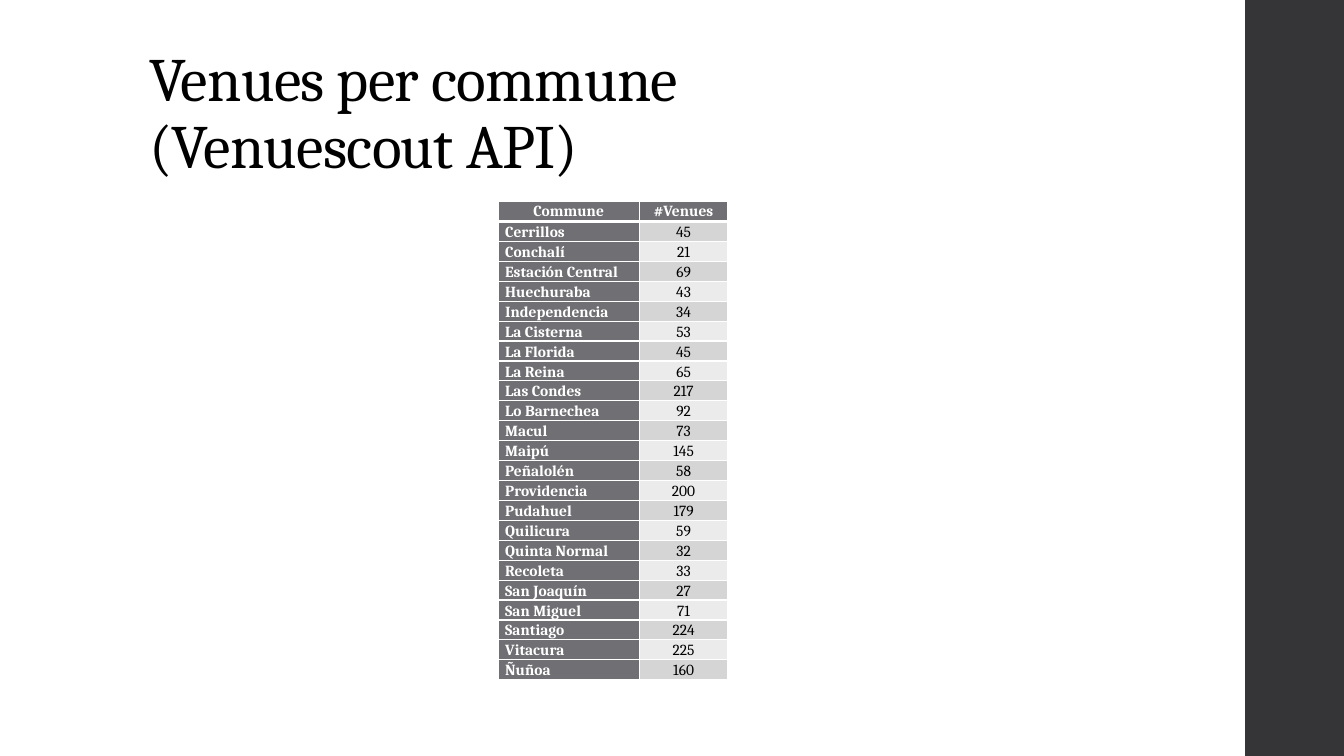
from lxml.etree import SubElement
from pptx import Presentation
from pptx.dml.color import RGBColor
from pptx.enum.shapes import MSO_SHAPE
from pptx.enum.text import MSO_ANCHOR as ANCHOR, PP_ALIGN as ALIGN
from pptx.oxml.ns import qn
from pptx.util import Inches, Pt

FONT = "Cambria"
WHITE, BLACK = "FFFFFF", "000000"
HEADING_GREY, SIDEBAR_GREY = "6F6F74", "353537"
BANDS = ("D5D5D6", "EBEBEB")
TITLE_LINES = ("Venues per commune", "(Venuescout API)")
HEADINGS = ("Commune", "#Venues")
VENUES = (
    ("Cerrillos", 45), ("Conchalí", 21), ("Estación Central", 69),
    ("Huechuraba", 43), ("Independencia", 34), ("La Cisterna", 53),
    ("La Florida", 45), ("La Reina", 65), ("Las Condes", 217),
    ("Lo Barnechea", 92), ("Macul", 73), ("Maipú", 145),
    ("Peñalolén", 58), ("Providencia", 200), ("Pudahuel", 179),
    ("Quilicura", 59), ("Quinta Normal", 32), ("Recoleta", 33),
    ("San Joaquín", 27), ("San Miguel", 71), ("Santiago", 224),
    ("Vitacura", 225), ("Ñuñoa", 160),
)


def rgb(value):
    return RGBColor.from_string(value)


def add_run(paragraph, text, size, color, bold=False):
    run = paragraph.add_run()
    run.text = text
    font = run.font
    font.name, font.size, font.bold = FONT, Pt(size), bold
    font.color.rgb = rgb(color)
    return run


def add_sidebar(slide, left, top, width, height):
    sidebar = slide.shapes.add_shape(
        MSO_SHAPE.RECTANGLE, Inches(left), Inches(top), Inches(width), Inches(height))
    sidebar.shadow.inherit = False
    sidebar.fill.solid()
    sidebar.fill.fore_color.rgb = rgb(SIDEBAR_GREY)
    sidebar.line.fill.background()


def add_title(slide, left, top, width, height):
    title = slide.shapes.add_textbox(
        Inches(left), Inches(top), Inches(width), Inches(height))
    frame = title.text_frame
    frame.word_wrap = True
    frame.vertical_anchor = ANCHOR.BOTTOM
    paragraph = frame.paragraphs[0]
    paragraph.line_spacing = 0.9
    for index, line in enumerate(TITLE_LINES):
        if index:
            paragraph.add_line_break()
        run = add_run(paragraph, line, 44, BLACK)
        run.font._element.set("spc", "-50")


def set_borders(cell, top=1, bottom=1):
    """Draw white cell borders; widths are in points."""
    properties = cell._tc.get_or_add_tcPr()
    for side, width in (("L", 1), ("R", 1), ("T", top), ("B", bottom)):
        border = SubElement(properties, qn(f"a:ln{side}"), w=str(Pt(width)))
        fill = SubElement(border, qn("a:solidFill"))
        SubElement(fill, qn("a:srgbClr"), val=WHITE)


def fill_cell(cell, text, fill, color, bold, align, anchor):
    cell.margin_left = cell.margin_right = Inches(0.07)
    cell.margin_top = cell.margin_bottom = 0
    cell.vertical_anchor = anchor
    cell.fill.solid()
    cell.fill.fore_color.rgb = rgb(fill)
    paragraph = cell.text_frame.paragraphs[0]
    paragraph.alignment = align
    paragraph.line_spacing = 1.07
    paragraph.space_after = Pt(8)
    add_run(paragraph, text, 11, color, bold)


def add_venue_table(slide, left, top, width, height):
    row_count = len(VENUES) + 1
    table = slide.shapes.add_table(
        row_count, len(HEADINGS),
        Inches(left), Inches(top), Inches(width), Inches(height)).table
    commune_width = 1.4
    table.columns[0].width = Inches(commune_width)
    table.columns[1].width = Inches(width - commune_width)
    for row in table.rows:
        row.height = Inches(height / row_count)

    for column, heading in enumerate(HEADINGS):
        cell = table.cell(0, column)
        set_borders(cell, bottom=3)
        fill_cell(cell, heading, HEADING_GREY, WHITE, True, ALIGN.CENTER, ANCHOR.TOP)
    for row, (commune, venues) in enumerate(VENUES, start=1):
        name_cell, count_cell = table.cell(row, 0), table.cell(row, 1)
        for cell in (name_cell, count_cell):
            set_borders(cell, top=3 if row == 1 else 1)
        fill_cell(name_cell, commune, HEADING_GREY, WHITE, True,
                  ALIGN.LEFT, ANCHOR.BOTTOM)
        fill_cell(count_cell, str(venues), BANDS[(row - 1) % 2], BLACK, False,
                  ALIGN.CENTER, ANCHOR.BOTTOM)


def main():
    deck = Presentation()
    deck.slide_width, deck.slide_height = Inches(13.33), Inches(7.5)
    slide = deck.slides.add_slide(deck.slide_layouts[6])
    slide.background.fill.solid()
    slide.background.fill.fore_color.rgb = rgb(WHITE)
    add_sidebar(slide, 12.35, 0, 1, 7.5)
    add_title(slide, 1.38, 0.4, 10.6, 1.45)
    add_venue_table(slide, 4.94, 2, 2.28, 4.75)
    deck.save("out.pptx")


if __name__ == "__main__":
    main()
